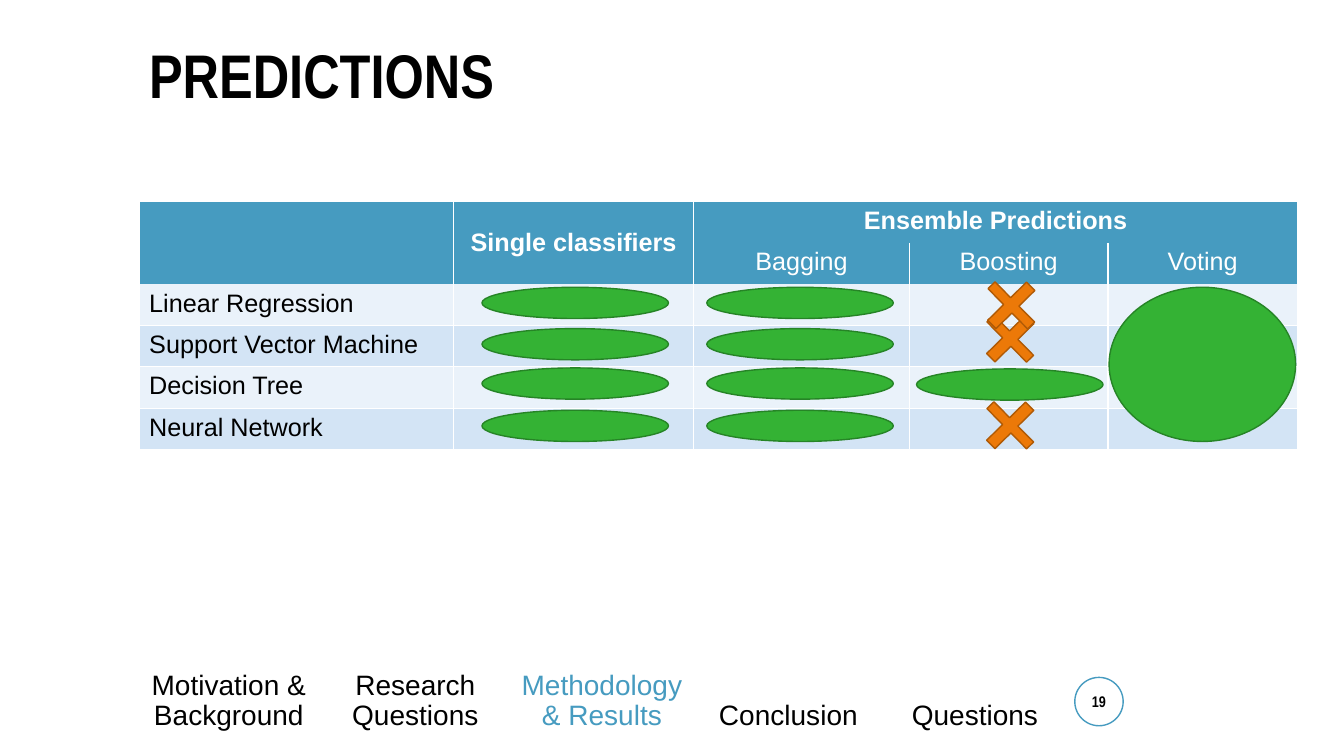
from lxml.etree import SubElement
from pptx import Presentation
from pptx.dml.color import RGBColor
from pptx.enum.shapes import MSO_SHAPE
from pptx.enum.text import MSO_ANCHOR, PP_ALIGN
from pptx.oxml.ns import qn
from pptx.util import Inches, Pt

COLORS = {"white": "FFFFFF", "black": "000000", "blue": "469BC0",
          "light": "EAF2FA", "mid": "D3E4F5", "green": "34B234",
          "green_line": "268426", "orange": "EC7908", "orange_line": "AF5A06"}
COL_WIDTHS = [3.12, 2.38, 2.14, 1.97, 1.88]
ROW_H = 0.41
MODELS = ["Linear Regression", "Support Vector Machine", "Decision Tree", "Neural Network"]
SECTIONS = ["Motivation & Background", "Research Questions",
            "Methodology & Results", "Conclusion", "Questions"]
CURRENT = "Methodology & Results"


def rgb(name):
    return RGBColor.from_string(COLORS[name])


def write(tf, text, color, align=PP_ALIGN.LEFT, spacing=None, **font):
    p = tf.paragraphs[0]
    p.alignment = align
    if spacing:
        p.line_spacing = spacing
    r = p.add_run()
    r.text = text
    for key, value in font.items():
        setattr(r.font, key, value)
    r.font.color.rgb = rgb(color)


def add_text(slide, box, text, color, anchor, **fmt):
    tf = slide.shapes.add_textbox(*map(Inches, box)).text_frame
    tf.word_wrap = True
    tf.vertical_anchor = anchor
    write(tf, text, color, spacing=0.9, **fmt)


def add_mark(slide, kind, box, fill, line):
    sp = slide.shapes.add_shape(kind, *map(Inches, box))
    sp.shadow.inherit = False
    sp.fill.solid()
    sp.fill.fore_color.rgb = rgb(fill)
    sp.line.color.rgb = rgb(line)
    sp.line.width = Pt(1)
    return sp


def set_borders(cell, sides):
    tc_pr = cell._tc.get_or_add_tcPr()
    for side in "LRTB":
        ln = SubElement(tc_pr, qn(f"a:ln{side}"), w=str(Pt(1)))
        if side in sides:
            fill = SubElement(ln, qn("a:solidFill"))
            SubElement(fill, qn("a:srgbClr"), val=COLORS["white"])
        else:
            SubElement(ln, qn("a:noFill"))


def add_table(slide, left, top):
    rows = [["", "Single classifiers", "Ensemble Predictions", "", ""],
            ["", "", "Bagging", "Boosting", "Voting"]]
    rows += [[model, "", "", "", ""] for model in MODELS]
    frame = slide.shapes.add_table(len(rows), len(COL_WIDTHS), Inches(left), Inches(top),
                                   Inches(sum(COL_WIDTHS)), Inches(ROW_H * len(rows)))
    table = frame.table
    table.first_row = table.horz_banding = False
    for col, width in zip(table.columns, COL_WIDTHS):
        col.width = Inches(width)
    for i, values in enumerate(rows):
        table.rows[i].height = Inches(ROW_H)
        header = i < 2
        for j, text in enumerate(values):
            cell = table.cell(i, j)
            set_borders(cell, ("LRT", "LR", "LRB")[min(i, 2)] if i < 3 else "LRTB")
            cell.fill.solid()
            cell.fill.fore_color.rgb = rgb("blue" if header else ("light", "mid")[i % 2])
            if text:
                write(cell.text_frame, text, "white" if header else "black",
                      PP_ALIGN.CENTER if header else PP_ALIGN.LEFT,
                      name="Arial", size=Pt(18), bold=i == 0)
            else:
                cell.text_frame.paragraphs[0].font.size = Pt(18)
    table.cell(0, 1).merge(table.cell(1, 1))
    table.cell(0, 1).vertical_anchor = MSO_ANCHOR.MIDDLE
    table.cell(0, 2).merge(table.cell(0, 4))


def add_marks(slide, left, top):
    """Place the marks relative to the top left corner of the table."""
    width, height = 1.85, 0.31
    row_tops = [0.85, 1.26, 1.65, 2.07]
    # Used: single classifiers, bagging, boosted tree, voting over all rows
    ovals = [(x, y, height) for x in (3.4, 5.63) for y in row_tops]
    ovals += [(9.62, row_tops[0], 1.53), (7.71, 1.66, height)]
    for x, y, h in ovals:
        add_mark(slide, MSO_SHAPE.OVAL, (left + x, top + y, width, h), "green", "green_line")
    # Not used: boosting
    for x, y in [(8.36, 1.09), (8.37, 0.76), (8.36, 1.95)]:
        sp = add_mark(slide, MSO_SHAPE.CROSS, (left + x, top + y, 0.56, 0.54),
                      "orange", "orange_line")
        sp.adjustments[0] = 0.41
        sp.rotation = 45.5


def add_footer(slide, left, top):
    # Section names
    for i, name in enumerate(SECTIONS):
        add_text(slide, (left + i * 1.85, top, 1.84, 0.8), name,
                 "blue" if name == CURRENT else "black", MSO_ANCHOR.BOTTOM,
                 align=PP_ALIGN.CENTER, name="Arial", size=Pt(20))
    # Page number
    sp = add_mark(slide, MSO_SHAPE.OVAL, (left + 9.31, top + 0.21, 0.48, 0.48), "white", "blue")
    tf = sp.text_frame
    tf.margin_left = tf.margin_right = 0
    tf.vertical_anchor = MSO_ANCHOR.MIDDLE
    write(tf, "19", "black", PP_ALIGN.CENTER, name="Arial Narrow", size=Pt(11), bold=True)


def main():
    prs = Presentation()
    prs.slide_width, prs.slide_height = Inches(13.33), Inches(7.5)
    slide = prs.slides.add_slide(prs.slide_layouts[6])
    add_text(slide, (1.38, 0.4, 11.5, 0.67), "PREDICTIONS", "black", MSO_ANCHOR.TOP,
             name="Arial Narrow", size=Pt(44), bold=True)
    add_table(slide, 1.38, 2)
    add_marks(slide, 1.38, 2)
    add_footer(slide, 1.35, 6.51)
    prs.save("out.pptx")


if __name__ == "__main__":
    main()
